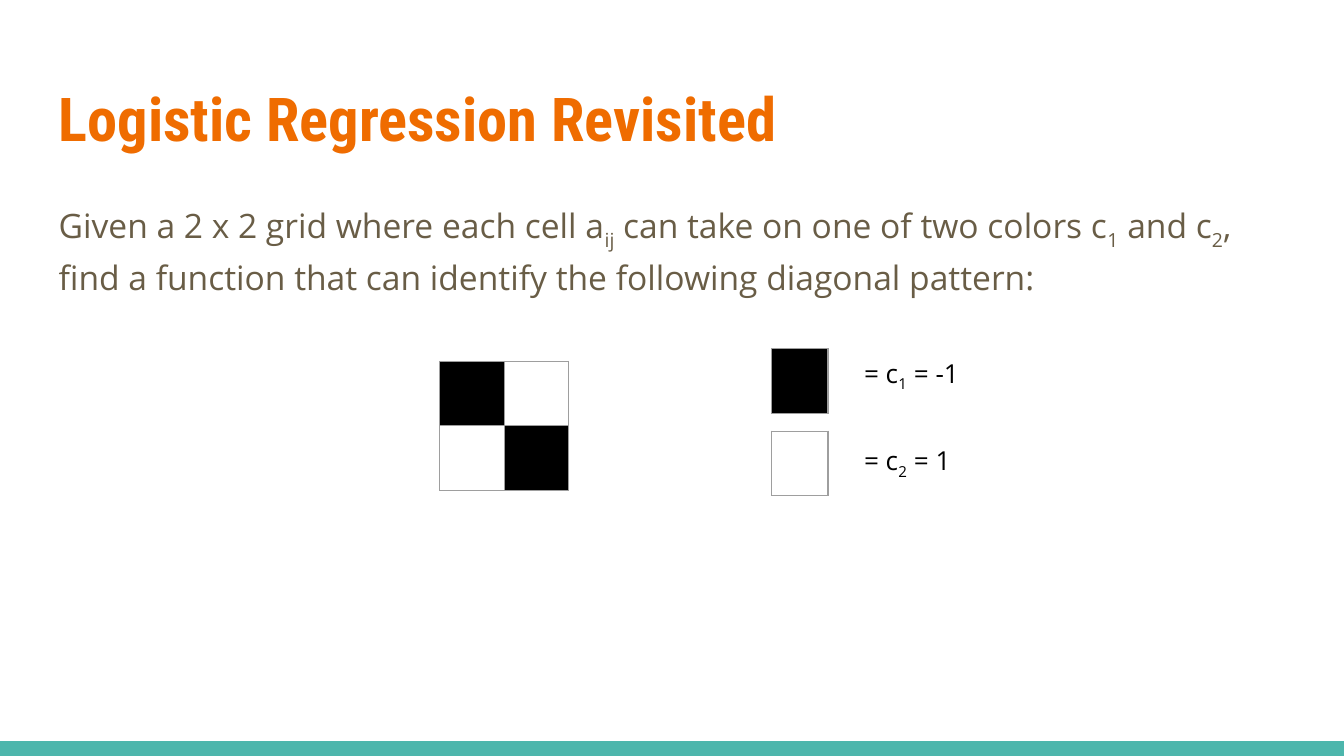
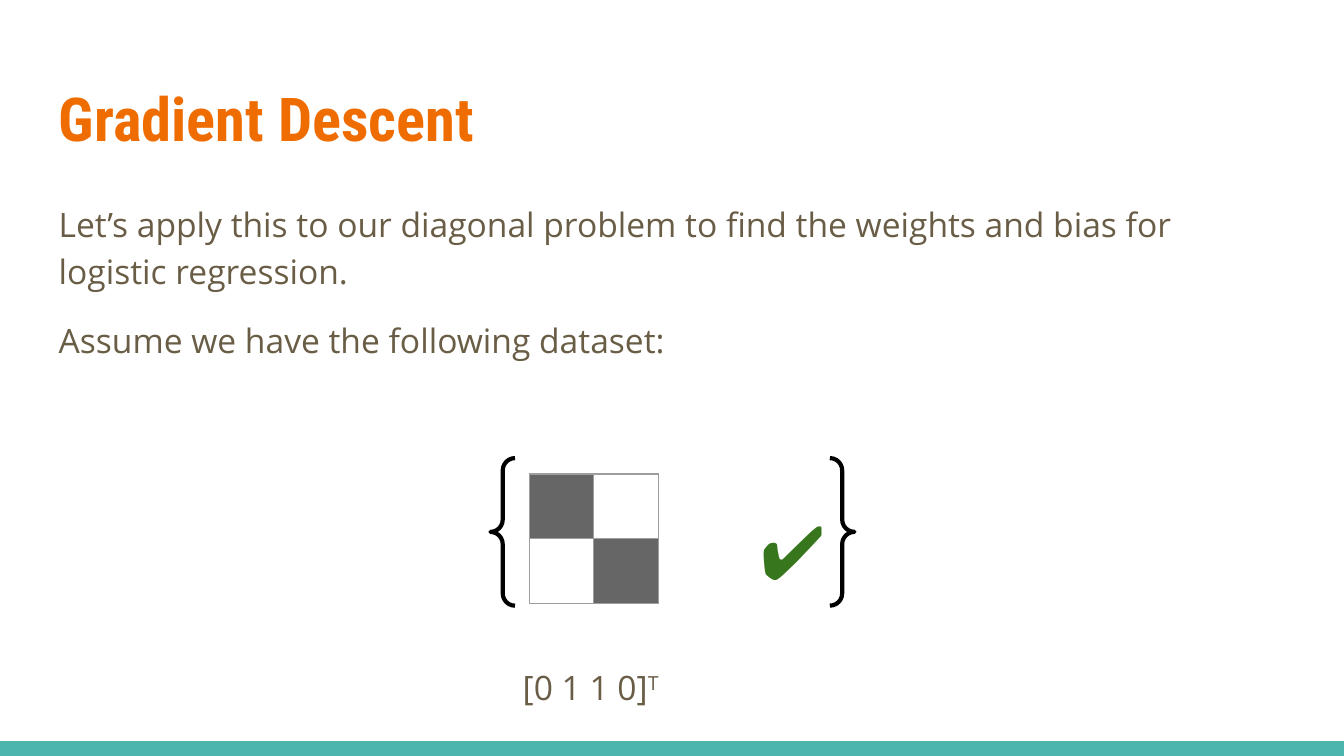
from dataclasses import dataclass

from lxml import etree
from pptx import Presentation
from pptx.dml.color import RGBColor
from pptx.enum.shapes import MSO_SHAPE
from pptx.enum.text import MSO_ANCHOR
from pptx.oxml.ns import qn
from pptx.util import Cm, Pt

RECT = MSO_SHAPE.RECTANGLE
BRACES = MSO_SHAPE.DOUBLE_BRACE
TOP, MIDDLE = MSO_ANCHOR.TOP, MSO_ANCHOR.MIDDLE

TEAL = RGBColor(0x4D, 0xB6, 0xAC)
ORANGE = RGBColor(0xEF, 0x6C, 0x00)
BROWN = RGBColor(0x69, 0x5D, 0x46)
GREEN = RGBColor(0x38, 0x76, 0x1D)
GRAY = RGBColor(0x66, 0x66, 0x66)
BORDER = RGBColor(0x9E, 0x9E, 0x9E)
BLACK = RGBColor(0, 0, 0)

BODY_FONT, TITLE_FONT = "Open Sans", "Roboto Condensed"
SLIDE_W, SLIDE_H, BAND_H = 25.4, 14.29, 0.28
MARGIN, CONTENT_W = 0.86, 23.67
INSET = Cm(0.25)
CELL_W, CELL_H, SWATCH_W = 1.22, 1.22, 1.07
SUB, SUP = -25000, 30000


@dataclass
class Style:
    size: float
    color: RGBColor
    font: str = BODY_FONT
    bold: bool = False
    line_spacing: float = 1.0


@dataclass
class Para:
    runs: list[tuple[str, int]]
    before: float = 0
    after: float = 0


@dataclass
class Box:
    left: float
    top: float
    width: float
    height: float

    def emu(self) -> tuple[Cm, Cm, Cm, Cm]:
        return Cm(self.left), Cm(self.top), Cm(self.width), Cm(self.height)


TITLE = Style(32.4, ORANGE, TITLE_FONT, bold=True)
BODY = Style(18, BROWN, line_spacing=1.15)
LEGEND = Style(14, BLACK)
CHECK = Style(40, GREEN, bold=True, line_spacing=1.15)


def add_text(s, box: Box, style: Style, paras: list[Para], anchor=TOP) -> None:
    tf = s.shapes.add_textbox(*box.emu()).text_frame
    tf.word_wrap = True
    tf.vertical_anchor = anchor
    tf.margin_left = tf.margin_right = tf.margin_top = tf.margin_bottom = INSET
    for i, para in enumerate(paras):
        p = tf.add_paragraph() if i else tf.paragraphs[0]
        p.line_spacing = style.line_spacing
        p.space_before, p.space_after = Pt(para.before), Pt(para.after)
        p.font.name, p.font.size, p.font.bold = style.font, Pt(style.size), style.bold
        p.font.color.rgb = style.color
        for text, baseline in para.runs:
            r = p.add_run()
            r.text = text
            if baseline:
                r._r.get_or_add_rPr().set("baseline", str(baseline))


def add_borders(cell) -> None:
    tc_pr = cell._tc.get_or_add_tcPr()
    for i, side in enumerate(("lnL", "lnR", "lnT", "lnB")):
        ln = etree.Element(qn(f"a:{side}"), w=str(Pt(0.75)))
        fill = etree.SubElement(ln, qn("a:solidFill"))
        etree.SubElement(fill, qn("a:srgbClr"), val=str(BORDER))
        tc_pr.insert(i, ln)  # borders precede the cell fill


def add_grid(s, left: float, top: float, cells: list[list[RGBColor | None]],
             cell_w: float = CELL_W) -> None:
    """Draw a bordered table of coloured cells; None leaves a cell unfilled."""
    rows, cols = len(cells), len(cells[0])
    box = Box(left, top, cols * cell_w, rows * CELL_H)
    table = s.shapes.add_table(rows, cols, *box.emu()).table
    table.first_row = table.horz_banding = False
    for i, row in enumerate(cells):
        for j, color in enumerate(row):
            cell = table.cell(i, j)
            if color is None:
                cell.fill.background()
            else:
                cell.fill.solid()
                cell.fill.fore_color.rgb = color
            add_borders(cell)


def add_diagonal(s, left: float, top: float, color: RGBColor) -> None:
    add_grid(s, left, top, [[color, None], [None, color]])


def add_braces(s, box: Box) -> None:
    braces = s.shapes.add_shape(BRACES, *box.emu())
    braces.shadow.inherit = False
    braces.fill.background()
    braces.line.color.rgb = BLACK
    braces.line.width = Pt(2.25)


def add_slide(prs, title: str, body_height: float, body: list[Para]):
    """Add a slide with the shared footer band, title and body text."""
    s = prs.slides.add_slide(prs.slide_layouts[6])
    band = s.shapes.add_shape(RECT, *Box(0, SLIDE_H - BAND_H, SLIDE_W, BAND_H).emu())
    band.shadow.inherit = False
    band.fill.solid()
    band.fill.fore_color.rgb = TEAL
    band.line.fill.background()
    add_text(s, Box(MARGIN, 1.24, CONTENT_W, 1.96), TITLE, [Para([(title, 0)])], MIDDLE)
    add_text(s, Box(MARGIN, 3.5, CONTENT_W, body_height), BODY, body)
    return s


def build_logistic_regression(prs) -> None:
    question = Para([
        ("Given a 2 x 2 grid where each cell a", 0), ("ij", SUB),
        (" can take on one of two colors c", 0), ("1", SUB),
        (" and c", 0), ("2", SUB),
        (", find a function that can identify the following diagonal pattern:", 0),
    ], after=12)
    s = add_slide(prs, "Logistic Regression Revisited", 2.24, [question])
    add_diagonal(s, 8.31, 6.83, BLACK)
    legend = [(6.59, 6.5, BLACK, "1", " = -1"), (8.15, 8.15, None, "2", " = 1")]
    for swatch_top, label_top, color, index, value in legend:
        add_grid(s, 14.58, swatch_top, [[color]], SWATCH_W)
        add_text(s, Box(16.08, label_top, 2.41, 1.12), LEGEND,
                 [Para([("= c", 0), (index, SUB), (value, 0)])])


def build_gradient_descent(prs) -> None:
    s = add_slide(prs, "Gradient Descent", 3.84, [
        Para([("Let’s apply this to our diagonal problem to find the weights "
               "and bias for logistic regression.", 0)]),
        Para([("Assume we have the following dataset:", 0)], before=12, after=12),
    ])
    add_braces(s, Box(9.27, 8.66, 6.88, 2.79))
    add_diagonal(s, 10, 8.96, GRAY)
    add_text(s, Box(14.12, 9.04, 1.88, 2.03), CHECK, [Para([("✔", 0)])])
    add_text(s, Box(9.63, 12.24, 3.15, 1.27), BODY,
             [Para([("[0 1 1 0]", 0), ("T", SUP)], after=12)])


def main() -> None:
    prs = Presentation()
    prs.slide_width, prs.slide_height = Cm(SLIDE_W), Cm(SLIDE_H)
    build_logistic_regression(prs)
    build_gradient_descent(prs)
    prs.save("out.pptx")


if __name__ == "__main__":
    main()
